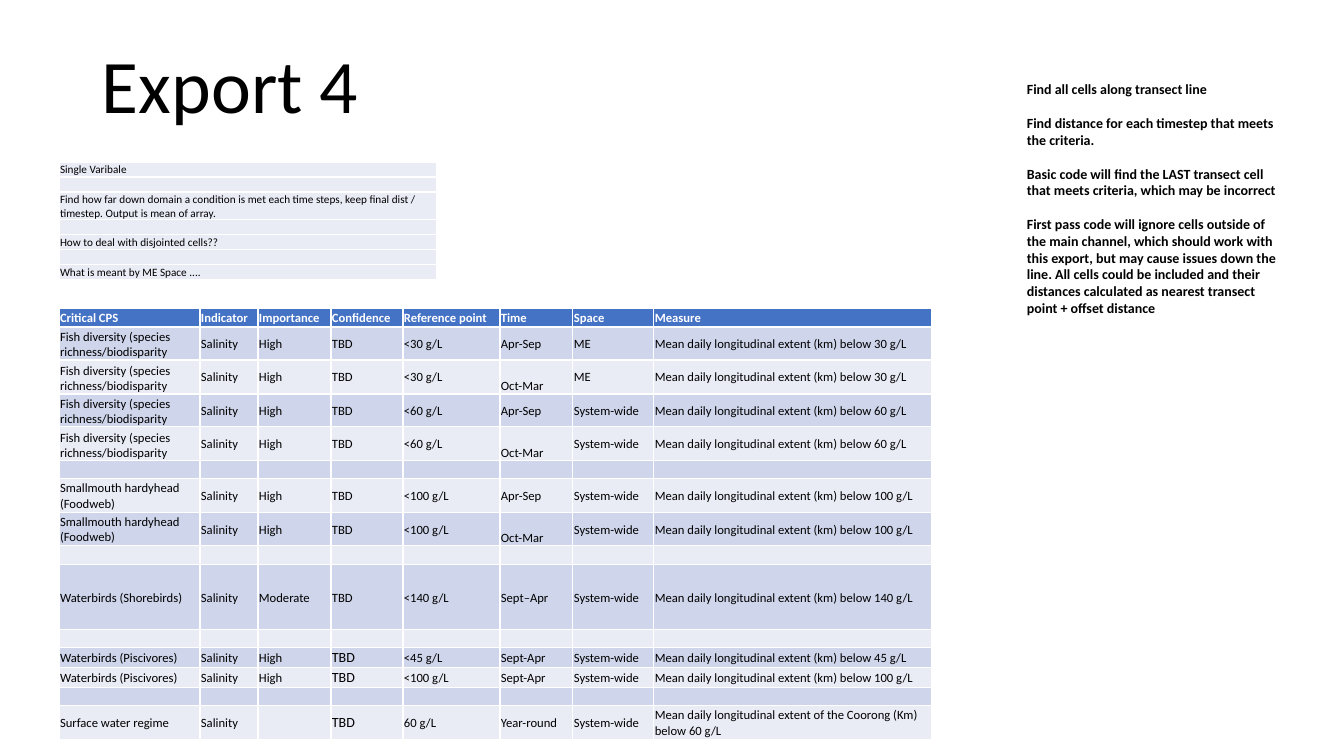
"""Build the Export 4 slide: title, question list, criteria table and method notes."""
import pptx
import pptx.dml.color
import pptx.enum.text
import pptx.util

SCALE = 914400 / 100.8
ANCHOR = pptx.enum.text.MSO_ANCHOR
BAND_DARK, BAND_LIGHT, HEADER_BLUE = "CFD5EA", "E9EBF5", "4472C4"


def px(*lengths):
    return [pptx.util.Emu(round(length * SCALE)) for length in lengths]


def color(hex_string):
    return pptx.dml.color.RGBColor.from_string(hex_string)


def write(frame, text, size, ink="000000", bold=False, spacing=1.0, gap=0):
    lines = text.split("\n")
    for index, line in enumerate(lines):
        para = frame.paragraphs[0] if index == 0 else frame.add_paragraph()
        para.line_spacing = spacing
        para.space_after = pptx.util.Pt(gap if index < len(lines) - 1 else 0)
        if not line:
            para._p.get_or_add_endParaRPr().set("sz", str(size * 100))
            continue
        span = para.add_run()
        span.text = line
        span.font.name = "Calibri"
        span.font.size = pptx.util.Pt(size)
        span.font.bold = bold
        span.font.color.rgb = color(ink)


deck = pptx.Presentation()
deck.slide_width, deck.slide_height = px(1344, 756)
page = deck.slides.add_slide(deck.slide_layouts[6])

title_box = page.shapes.add_textbox(*px(92, 32, 1159, 103))
title_box.text_frame.word_wrap = True
title_box.text_frame.vertical_anchor = ANCHOR.BOTTOM
write(title_box.text_frame, "Export 4", 54, spacing=0.9)

fish = "Fish diversity (species richness/biodisparity"
hardyhead = "Smallmouth hardyhead (Foodweb)"
piscivores = "Waterbirds (Piscivores)"
extent = "Mean daily longitudinal extent (km) below "
wide = "System-wide"
blank = [""] * 8


def criterion(group, limit, time, space=wide, importance="High"):
    return [group, "Salinity", importance, "TBD", "<" + limit, time, space, extent + limit]


criteria = [
    ["Critical CPS", "Indicator", "Importance", "Confidence",
     "Reference point", "Time", "Space", "Measure"],
    criterion(fish, "30 g/L", "Apr-Sep", "ME"),
    criterion(fish, "30 g/L", "Oct-Mar", "ME"),
    criterion(fish, "60 g/L", "Apr-Sep"),
    criterion(fish, "60 g/L", "Oct-Mar"),
    blank,
    criterion(hardyhead, "100 g/L", "Apr-Sep"),
    criterion(hardyhead, "100 g/L", "Oct-Mar"),
    blank,
    criterion("Waterbirds (Shorebirds)", "140 g/L", "Sept–Apr", importance="Moderate"),
    blank,
    criterion(piscivores, "45 g/L", "Sept-Apr"),
    criterion(piscivores, "100 g/L", "Sept-Apr"),
    blank,
    ["Surface water regime", "Salinity", "", "TBD", "60 g/L", "Year-round", wide,
     "Mean daily longitudinal extent of the Coorong (Km) below 60 g/L"],
]
questions = [[line] for line in (
    "Single Varibale",
    "",
    "Find how far down domain a condition is met each time steps, "
    "keep final dist / timestep. Output is mean of array.",
    "",
    "How to deal with disjointed cells??",
    "",
    "What is meant by ME Space ....",
)]
criteria_widths = [141, 58, 73, 72, 97, 73, 81, 278]
criteria_heights = [19, 33, 34, 33, 34, 18, 34, 33, 19, 65, 18, 20, 20, 18, 34]
question_heights = [15, 15, 28, 15, 15, 15, 15]

for rows, top, widths, heights, size, has_header in (
    (criteria, 308, criteria_widths, criteria_heights, 9, True),
    (questions, 162, [378], question_heights, 8, False),
):
    table = page.shapes.add_table(
        len(rows), len(widths), *px(59, top, sum(widths), sum(heights))).table
    table.first_row = has_header
    table.horz_banding = has_header
    for column, width in zip(table.columns, px(*widths)):
        column.width = width
    for row, height in zip(table.rows, px(*heights)):
        row.height = height
    for row_index, texts in enumerate(rows):
        header = has_header and row_index == 0
        dark = has_header and row_index % 2 == 1
        for column_index, text in enumerate(texts):
            cell = table.cell(row_index, column_index)
            cell.margin_left, cell.margin_top, cell.margin_right, cell.margin_bottom = px(1, 1, 1, 0)
            at_bottom = not has_header or text in (fish, "Oct-Mar")
            cell.vertical_anchor = ANCHOR.BOTTOM if at_bottom else ANCHOR.MIDDLE
            cell.fill.solid()
            cell.fill.fore_color.rgb = color(
                HEADER_BLUE if header else BAND_DARK if dark else BAND_LIGHT)
            larger = text == "TBD" and row_index > 10
            write(cell.text_frame, text, 10 if larger else size,
                  ink="FFFFFF" if header else "000000", bold=header)

notes_box = page.shapes.add_textbox(*px(1017, 76, 269, 298))
notes_box.text_frame.word_wrap = True
write(notes_box.text_frame, "\n".join((
    "Find all cells along transect line",
    "Find distance for each timestep that meets the criteria.",
    "Basic code will find the LAST transect cell that meets criteria, which may be incorrect",
    "First pass code will ignore cells outside of the main channel, which should work with "
    "this export, but may cause issues down the line. All cells could be included and their "
    "distances calculated as nearest transect point + offset distance",
)), 10, bold=True, gap=12)

deck.save("out.pptx")
